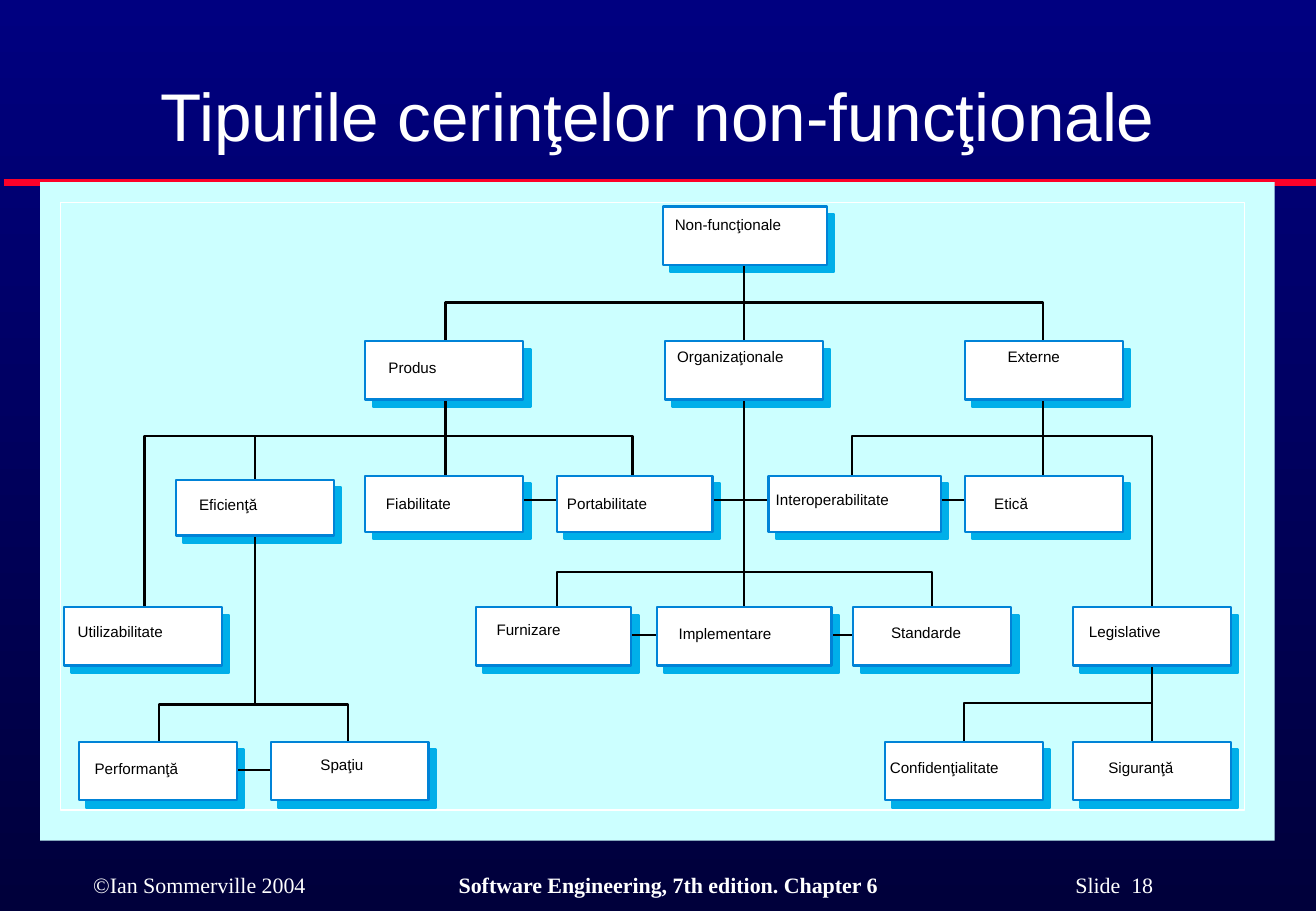
from dataclasses import dataclass

from lxml import etree
from pptx import Presentation, util as u
from pptx.dml.color import RGBColor
from pptx.enum import shapes, text
from pptx.oxml import ns

COLORS = {
    "bg_top": "000080", "bg_bottom": "00003B", "rule": "FC0128",
    "panel": "CCFFFF", "frame": "FFFFFE", "shade": "00AFE9",
    "border": "0083D7", "white": "FFFFFF", "black": "000000",
}
CELL = u.Inches(0.1)  # grid pitch; every length below is in columns or rows
COLS, ROWS = 108.4, 75
TIERS = (17, 28.1, 39.2, 50, 61.1)  # top row of each level of the tree
HEIGHTS = (4.8, 4.8, 4.6, 4.8, 4.8)
SHADE_SHIFT = 0.6
LINE_WIDTH = 1.3
FOOTER_TABS = (30.1, 80.9)


@dataclass(frozen=True)
class Box:
    label: str
    tier: int
    left: float
    indent: float  # from the box edge to the label
    drop: float
    width: float = 13
    lower: float = 0  # shift below the tier's top row

    @property
    def top(self) -> float:
        return TIERS[self.tier] + self.lower


@dataclass(frozen=True)
class Wire:
    start: tuple[float, float]
    end: tuple[float, float]
    color: str = "black"
    width: float = LINE_WIDTH


BOXES = (
    Box("Non-funcţionale", 0, 54.6, 1, 0.7, 13.5),
    Box("Produs", 1, 30.1, 1.9, 1.4),
    Box("Organizaţionale", 1, 54.8, 1, 0.5),
    Box("Externe", 1, 79.5, 3.5, 0.5),
    Box("Eficienţă", 2, 14.5, 1.9, 1.3, lower=0.3),
    Box("Fiabilitate", 2, 30.1, 1.7, 1.5),
    Box("Portabilitate", 2, 45.9, 0.8, 1.5, 12.8),
    Box("Interoperabilitate", 2, 63.3, 0.6, 1.2, 14.2),
    Box("Etică", 2, 79.5, 2.4, 1.5),
    Box("Utilizabilitate", 3, 5.3, 1.1, 1.2),
    Box("Furnizare", 3, 39.2, 1.7, 1.1, 12.8),
    Box("Implementare", 3, 54.1, 1.8, 1.4, 14.4),
    Box("Standarde", 3, 70.3, 3.1, 1.3),
    Box("Legislative", 3, 88.4, 1.3, 1.2),
    Box("Performanţă", 4, 6.5, 1.3, 1.4),
    Box("Spaţiu", 4, 22.3, 4.1, 1.1),
    Box("Confidenţialitate", 4, 72.9, 0.4, 1.3),
    Box("Siguranţă", 4, 88.4, 2.9, 1.3),
)
# The lower edge of each loop links neighbouring boxes.
LOOPS = (
    (36.7, 24.9, 49.2, 16.3),
    (45.9, 47.1, 30.9, 5.2),
    (13.1, 58, 15.6, 5.4),
)
BRANCHES = (
    ((52.1, 41.3), (52.1, 35.9), (11.9, 35.9), (11.9, 49.9)),
    ((70.2, 41.3), (70.2, 35.9), (94.9, 35.9), (94.9, 49.9)),
    ((79.4, 63.5), (79.4, 57.9), (94.9, 57.9)),
)
TRUNKS = (
    Wire((61.3, 19.4), (61.3, 52.4)),
    Wire((36.7, 30), (36.7, 41)),
    Wire((85.9, 30), (85.9, 41)),
    Wire((94.9, 52.4), (94.9, 63.5)),
    Wire((21, 35.9), (21, 41.3)),
    Wire((21, 43.9), (21, 58)),
)


def grid(*cells: float) -> list[int]:
    """Turn columns or rows into slide lengths."""
    return [round(c * CELL) for c in cells]


def rgb(name: str) -> RGBColor:
    return RGBColor.from_string(COLORS[name])


def style(sp, fill: str | None, line: str | None, width: float = LINE_WIDTH) -> None:
    sp.shadow.inherit = False
    if fill:
        sp.fill.solid()
        sp.fill.fore_color.rgb = rgb(fill)
    else:
        sp.fill.background()
    if line:
        sp.line.color.rgb = rgb(line)
        sp.line.width = u.Pt(width)
    else:
        sp.line.fill.background()


def add_rect(s, place: tuple, fill: str | None, line: str | None, width: float = LINE_WIDTH):
    sp = s.shapes.add_shape(shapes.MSO_SHAPE.RECTANGLE, *grid(*place))
    style(sp, fill, line, width)
    return sp


def add_wire(s, wire: Wire) -> None:
    c = s.shapes.add_connector(shapes.MSO_CONNECTOR.STRAIGHT, *grid(*wire.start, *wire.end))
    c.line.color.rgb = rgb(wire.color)
    c.line.width = u.Pt(wire.width)
    etree.SubElement(c._element.spPr, ns.qn("a:effectLst"))


def add_branch(s, points: tuple) -> None:
    start, *rest = [tuple(grid(*point)) for point in points]
    builder = s.shapes.build_freeform(*start)
    builder.add_line_segments(rest, close=False)
    style(builder.convert_to_shape(), None, "black")


def set_font(font, name: str, size: float, color: str) -> None:
    font.name, font.size = name, u.Pt(size)
    font.color.rgb = rgb(color)


def add_box(s, box: Box) -> None:
    sp = add_rect(s, (box.left, box.top, box.width, HEIGHTS[box.tier]), "white", "border")
    tf = sp.text_frame
    tf.word_wrap = True
    tf.vertical_anchor = text.MSO_ANCHOR.TOP
    tf.margin_left, tf.margin_top = grid(box.indent, box.drop)
    tf.margin_right = tf.margin_bottom = 0
    p = tf.paragraphs[0]
    p.text = box.label
    p.alignment = text.PP_ALIGN.LEFT
    set_font(p.font, "Arial", 9, "black")


def add_title(s) -> None:
    title = s.shapes.title
    title.left, title.top, title.width, title.height = grid(7.9, 3.3, 92.5, 10)
    tf = title.text_frame
    tf.auto_size = text.MSO_AUTO_SIZE.NONE
    tf.vertical_anchor = text.MSO_ANCHOR.BOTTOM
    p = tf.paragraphs[0]
    p.text = "Tipurile cerinţelor non-funcţionale"
    p.alignment = text.PP_ALIGN.CENTER
    set_font(p.font, "Arial", 40, "white")


def add_footer(s) -> None:
    tf = s.shapes.add_textbox(*grid(6.7, 71.3, 96.6, 3.2)).text_frame
    tf.word_wrap = True
    p = tf.paragraphs[0]
    set_font(p.font, "Times New Roman", 13, "white")
    tabs = etree.Element(ns.qn("a:tabLst"))
    for pos in grid(*FOOTER_TABS):
        etree.SubElement(tabs, ns.qn("a:tab"), pos=str(pos), algn="l")
    p._p.get_or_add_pPr().insert(0, tabs)
    for words, bold in (
        ("©Ian Sommerville 2004\t", False),
        ("Software Engineering, 7th edition. Chapter 6\t", True),
        ("Slide  18", False),
    ):
        r = p.add_run()
        r.text = words
        r.font.bold = bold


def main() -> None:
    prs = Presentation()
    prs.slide_width, prs.slide_height = grid(COLS, ROWS)
    s = prs.slides.add_slide(prs.slide_layouts[5])
    fill = s.background.fill
    fill.gradient()
    fill.gradient_angle = 270
    for stop, name in zip(fill.gradient_stops, ("bg_top", "bg_bottom")):
        stop.color.rgb = rgb(name)

    add_title(s)
    add_wire(s, Wire((0.3, 15), (COLS, 15), "rule", 4))
    add_footer(s)
    add_rect(s, (3.3, 15, 101.7, 54.2), "panel", None)
    add_rect(s, (5, 16.7, 97.5, 50), None, "frame", 0)
    for box in BOXES:
        shade = (box.left + SHADE_SHIFT, box.top + SHADE_SHIFT, box.width, HEIGHTS[box.tier])
        add_rect(s, shade, "shade", "shade")
    for loop in LOOPS:
        add_rect(s, loop, None, "black")
    for branch in BRANCHES:
        add_branch(s, branch)
    for trunk in TRUNKS:
        add_wire(s, trunk)
    for box in BOXES:
        add_box(s, box)
    prs.save("out.pptx")


if __name__ == "__main__":
    main()
